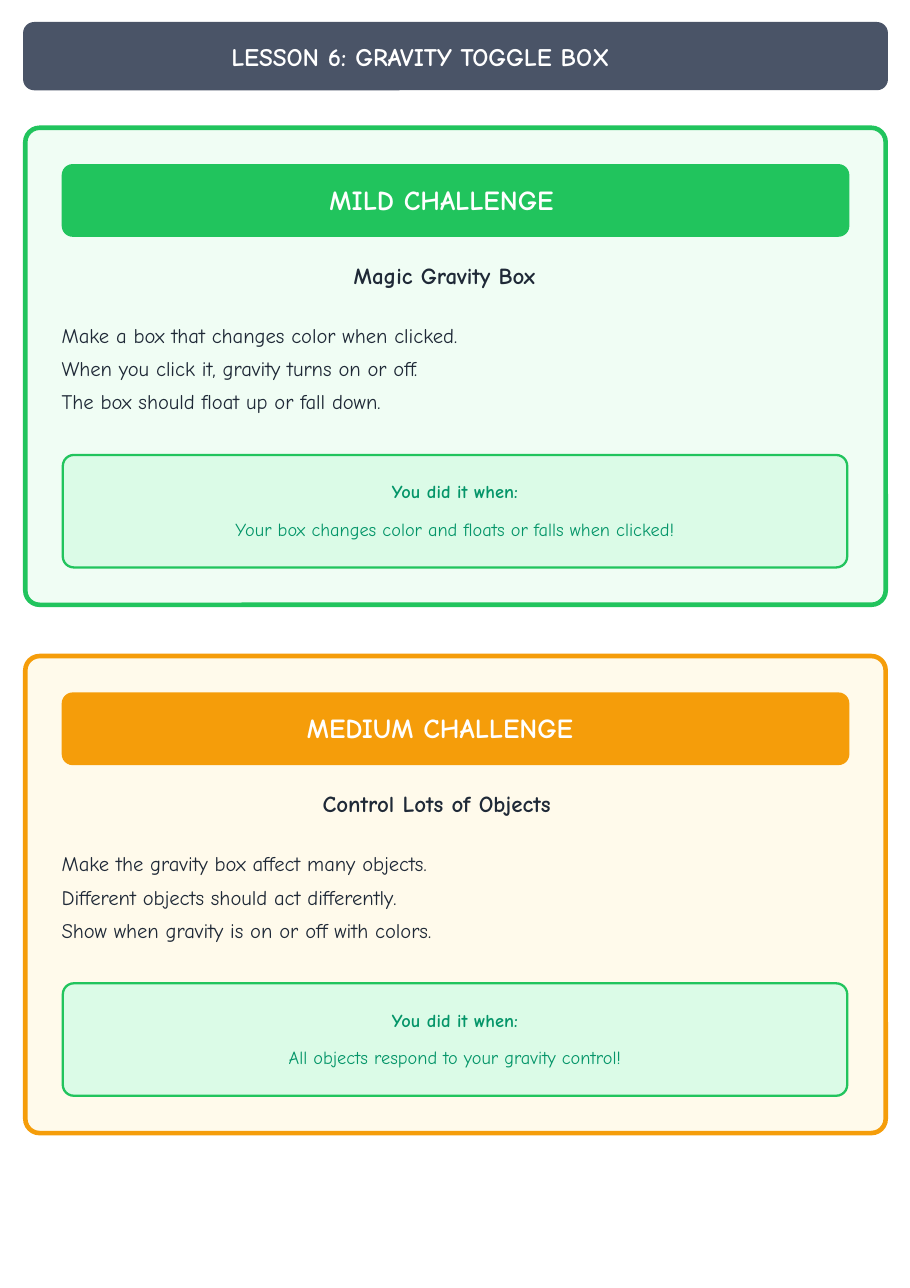
from pptx import Presentation
from pptx.dml.color import RGBColor
from pptx.enum.shapes import MSO_SHAPE
from pptx.enum.text import PP_ALIGN
from pptx.util import Inches, Pt

WIDTH, HEIGHT = 8.26, 11.69
FONT = "Comic Neue"
WHITE, INK, SLATE = "FFFFFF", "1F2937", "4A5467"
GREEN, AMBER, MINT, TEAL = "21C45D", "F59D0A", "DBFBE7", "049569"
TOP, PITCH = 9.92, 41.02  # first card and card step, in rows

# Each indent is the left edge of a line of text, in columns
CARDS = [
    dict(name="MILD CHALLENGE", left=36.08, main=GREEN, pale="F0FDF4",
         head="Magic Gravity Box", indent=32.2,
         steps=["Make a box that changes color when clicked.",
                "When you click it, gravity turns on or off.",
                "The box should float up or fall down."],
         goal="Your box changes color and floats or falls when clicked!"),
    dict(name="MEDIUM CHALLENGE", left=33.6, main=AMBER, pale="FFFAEB",
         head="Control Lots of Objects", indent=28.8,
         steps=["Make the gravity box affect many objects.",
                "Different objects should act differently.",
                "Show when gravity is on or off with colors."],
         goal="All objects respond to your gravity control!"),
]


def color(code):
    return RGBColor.from_string(code)


def col(count):
    """A length of so many hundredths of the slide's width."""
    return Inches(WIDTH * count / 100)


def row(count):
    """A length of so many hundredths of the slide's height."""
    return Inches(HEIGHT * count / 100)


def add_panel(slide, x, y, w, h, fill, line=None, weight=0, radius=0.1):
    """Rounded panel; the radius is in inches."""
    panel = slide.shapes.add_shape(
        MSO_SHAPE.ROUNDED_RECTANGLE, col(x), row(y), col(w), row(h))
    panel.adjustments[0] = Inches(radius) / min(panel.width, panel.height)
    panel.shadow.inherit = False
    panel.fill.solid()
    panel.fill.fore_color.rgb = color(fill)
    if line:
        panel.line.color.rgb = color(line)
        panel.line.width = Pt(weight)
    else:
        panel.line.fill.background()


def add_text(slide, x, y, w, h, lines, tint, align=PP_ALIGN.LEFT):
    """Text box; each line is (text, size, bold, space before, indent)."""
    box = slide.shapes.add_textbox(col(x), row(y), col(w), row(h))
    frame = box.text_frame
    frame.word_wrap = True
    frame.margin_left = frame.margin_right = frame.margin_bottom = 0
    frame.margin_top = Inches(0.01)
    frame.text = "\n".join(line[0] for line in lines)
    for para, (_, size, bold, gap, indent) in zip(frame.paragraphs, lines):
        para.alignment = align
        para.space_before = Pt(gap)
        if indent:
            para._p.get_or_add_pPr().set("marL", str(col(indent)))
        font = para.runs[0].font
        font.name, font.size, font.bold = FONT, Pt(size), bold
        font.color.rgb = color(tint)


def add_card(slide, y, card):
    # Frame and banner
    add_panel(slide, 2.78, y, 94.55, 37.04, card["pale"], card["main"], 3, 0.13)
    add_panel(slide, 6.78, y + 2.82, 86.56, 5.65, card["main"])
    add_text(slide, card["left"], y + 4.19, 35, 2.82,
             [(card["name"], 18, True, 1, 0.12)], WHITE)

    # Heading and steps
    lines = [(card["head"], 15, True, 1, card["indent"])]
    for i, step in enumerate(card["steps"]):
        lines.append((step, 13.5, False, 5.5 if i else 22.4, 0.12))
    add_text(slide, 6.66, y + 10.27, 60, 12.15, lines, INK)

    # Goal box
    add_panel(slide, 6.9, y + 25.41, 86.2, 8.73, MINT, GREEN, 1.5)
    add_text(slide, 6.9, y + 27.29, 86.2, 4.88,
             [("You did it when:", 12, True, 1, 0),
              (card["goal"], 12, False, 10.3, 0)], TEAL, PP_ALIGN.CENTER)


def main():
    deck = Presentation()
    deck.slide_width, deck.slide_height = Inches(WIDTH), Inches(HEIGHT)
    slide = deck.slides.add_slide(deck.slide_layouts[6])

    # Lesson title
    add_panel(slide, 2.54, 1.71, 95.04, 5.3, SLATE)
    add_text(slide, 25.3, 3.08, 52, 2.57,
             [("LESSON 6: GRAVITY TOGGLE BOX", 16.5, True, 1, 0.12)], WHITE)

    # Challenge cards
    for i, card in enumerate(CARDS):
        add_card(slide, TOP + i * PITCH, card)

    deck.save("out.pptx")


if __name__ == "__main__":
    main()
